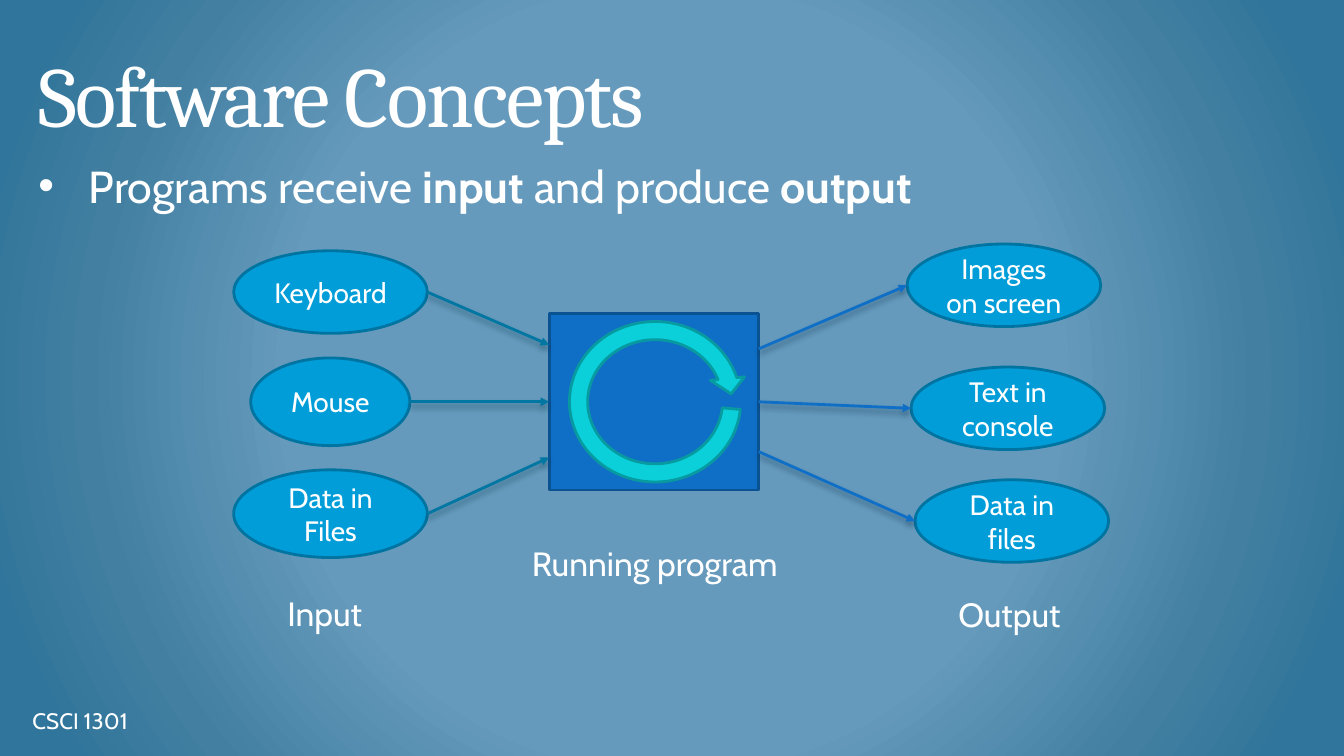
from lxml import etree
from pptx import Presentation, util as u
from pptx.dml.color import RGBColor
from pptx.enum import shapes as es, text as et
from pptx.oxml import parse_xml
from pptx.oxml.ns import nsdecls, qn

Cm, Pt = u.Cm, u.Pt
KIND = es.MSO_SHAPE
LEFT, MID = et.PP_ALIGN.LEFT, et.PP_ALIGN.CENTER
TOP, CENTER, BASE = (et.MSO_ANCHOR.TOP, et.MSO_ANCHOR.MIDDLE,
                     et.MSO_ANCHOR.BOTTOM)


def color(code):
    return RGBColor.from_string(code)


def write(shape, words, size=20, font="Cabin", ink="FFFFFF", align=LEFT,
          anchor=TOP, wrap=True, pads=(0.25, 0.13, 0.25, 0.13)):
    """Fill a shape with one paragraph; words is text or (text, bold) pairs."""
    frame = shape.text_frame
    frame.word_wrap, frame.vertical_anchor = wrap, anchor
    (frame.margin_left, frame.margin_top,
     frame.margin_right, frame.margin_bottom) = map(Cm, pads)
    para = frame.paragraphs[0]
    para.alignment = align
    for part, bold in [(words, False)] if isinstance(words, str) else words:
        run = para.add_run()
        run.text = part
        run.font.size, run.font.name, run.font.bold = Pt(size), font, bold
        run.font.color.rgb = color(ink)
    return para


def place(shape, box):
    shape.left, shape.top, shape.width, shape.height = map(Cm, box)


def draw(slide, kind, box, fill, edge):
    shape = slide.shapes.add_shape(kind, *map(Cm, box))
    shape.shadow.inherit = False
    shape.fill.solid()
    shape.fill.fore_color.rgb = color(fill)
    shape.line.color.rgb = color(edge)
    shape.line.width = Pt(2)
    return shape


def label(slide, words, box, size=24, grow=True, **form):
    note = slide.shapes.add_textbox(*map(Cm, box))
    write(note, words, size, **form)
    if grow:
        note.text_frame.auto_size = et.MSO_AUTO_SIZE.SHAPE_TO_FIT_TEXT


def arrow(slide, start, end, ink, shade):
    line = slide.shapes.add_connector(
        es.MSO_CONNECTOR.STRAIGHT, *map(Cm, start + end))
    line.line.color.rgb = color(ink)
    line.line.width = Pt(2)
    etree.SubElement(line.line._get_or_add_ln(), qn("a:tailEnd"),
                     type="triangle")
    line._element.spPr.append(parse_xml(
        f'<a:effectLst {nsdecls("a")}><a:outerShdw blurRad="{Pt(4.5)}" '
        f'dist="{Pt(3)}" dir="5400000" rotWithShape="0">'
        f'<a:srgbClr val="{shade}"><a:alpha val="48000"/></a:srgbClr>'
        '</a:outerShdw></a:effectLst>'))
    return line


def backdrop(slide):
    """Radial gradient from the slide's centre."""
    stops = "".join(
        f'<a:gs pos="{spot}000"><a:srgbClr val="{code}"/></a:gs>'
        for spot, code in ((50, "659ABC"), (76, "427FA1"), (92, "30759B")))
    slide.background.fill.solid()
    props = slide._element.cSld.bg.bgPr
    props.replace(props[0], parse_xml(
        f'<a:gradFill {nsdecls("a")} rotWithShape="1"><a:gsLst>{stops}'
        '</a:gsLst><a:path path="circle"><a:fillToRect l="50000" t="50000" '
        'r="50000" b="50000"/></a:path></a:gradFill>'))


def heading(slide, box):
    """Title and the bullet below it."""
    left, top, width, high = box
    pads = (0.33, 0.18, 0.33, 0.18)
    title, body = slide.placeholders
    place(title, (left, top, width, 3.18))
    para = write(title, "Software Concepts", 61, "Cambria",
                 anchor=BASE, pads=pads)
    para.line_spacing = Pt(77.3)
    para.runs[0].font._element.set("spc", "-130")

    place(body, (left, top + 3.17, width, high - 3.17))
    para = write(body, [("Programs receive ", False), ("input", True),
                        (" and produce ", False), ("output", True)],
                 32, pads=pads)
    props = para._p.get_or_add_pPr()
    props.set("marL", str(Cm(1.27)))
    props.set("indent", str(-Cm(1.27)))
    etree.SubElement(props, qn("a:buChar"), char="•")


def program(slide, box):
    """Square with a loop arrow and its caption."""
    left, top, width, high = box
    square = draw(slide, KIND.RECTANGLE, box, "0F6FC6", "0B5292")
    loop = draw(slide, KIND.CIRCULAR_ARROW, (left + 0.31, top, 4.72, high),
                "0BD0D9", "089AA1")
    for index, value in enumerate((0.103, 7.083, 205.365, 3.108, 0.097)):
        loop.adjustments[index] = value
    label(slide, "Running program", (left - 0.96, top + 5.66, 7.24, 1.27),
          align=MID)
    return square


def group(slide, box, items, square, ports, inward, caption):
    """Column of ovals, each tied by an arrow to a port on the square."""
    left, top = box
    ink, shade = ("0076A3", "00374C") if inward else ("0F6FC6", "042747")
    edge = square.left.cm + (0 if inward else square.width.cm)
    for (words, dx, dy, width, high), port in zip(items, ports):
        x, y = left + dx, top + dy
        oval = draw(slide, KIND.OVAL, (x, y, width, high), "009DD9", "0074A1")
        write(oval, words, align=MID, anchor=CENTER)
        tip = (x + width if inward else x, y + high / 2)
        hub = (edge, square.top.cm + port)
        if inward:
            line = arrow(slide, tip, hub, ink, shade)
        else:
            line = arrow(slide, hub, tip, ink, shade)
        # The middle arrow meets the middle of the side
        if port == ports[1]:
            if inward:
                line.end_connect(square, 1)
            else:
                line.begin_connect(square, 3)
    name, dx, dy, width = caption
    label(slide, name, (left + dx, top + dy, width, 1.27), wrap=False)


def main():
    deck = Presentation()
    deck.slide_width, deck.slide_height = Cm(33.87), Cm(19.05)
    slide = deck.slides.add_slide(deck.slide_layouts[1])
    backdrop(slide)
    heading(slide, (0.64, 0.64, 32.6, 16.38))
    square = program(slide, (13.84, 7.9, 5.28, 4.45))

    # Inputs and outputs: words, offset from the column's corner, size
    group(slide, (5.89, 6.32),
          [("Keyboard", 0, 0, 4.88, 2.08),
           ("Mouse", 0.43, 2.7, 4.01, 2.21),
           ("Data in Files", 0, 5.52, 4.88, 2.21)],
          square, (0.79, 2.22, 3.63), True, ("Input", 1.1, 8.49, 2.46))
    group(slide, (22.86, 6.15),
          [("Images on screen", 0, 0, 4.88, 2.08),
           ("Text in console", 0.1, 3.1, 4.88, 2.08),
           ("Data in files", 0.2, 5.94, 4.88, 2.08)],
          square, (0.89, 2.22, 3.48), False, ("Output", 1.04, 8.68, 3.12))

    # Footer
    label(slide, "CSCI 1301", (0.64, 17.65, 10.54, 1.02), 16, grow=False,
          anchor=CENTER, pads=(0.18, 0.18, 0.33, 0.18))
    deck.save("out.pptx")


if __name__ == "__main__":
    main()
